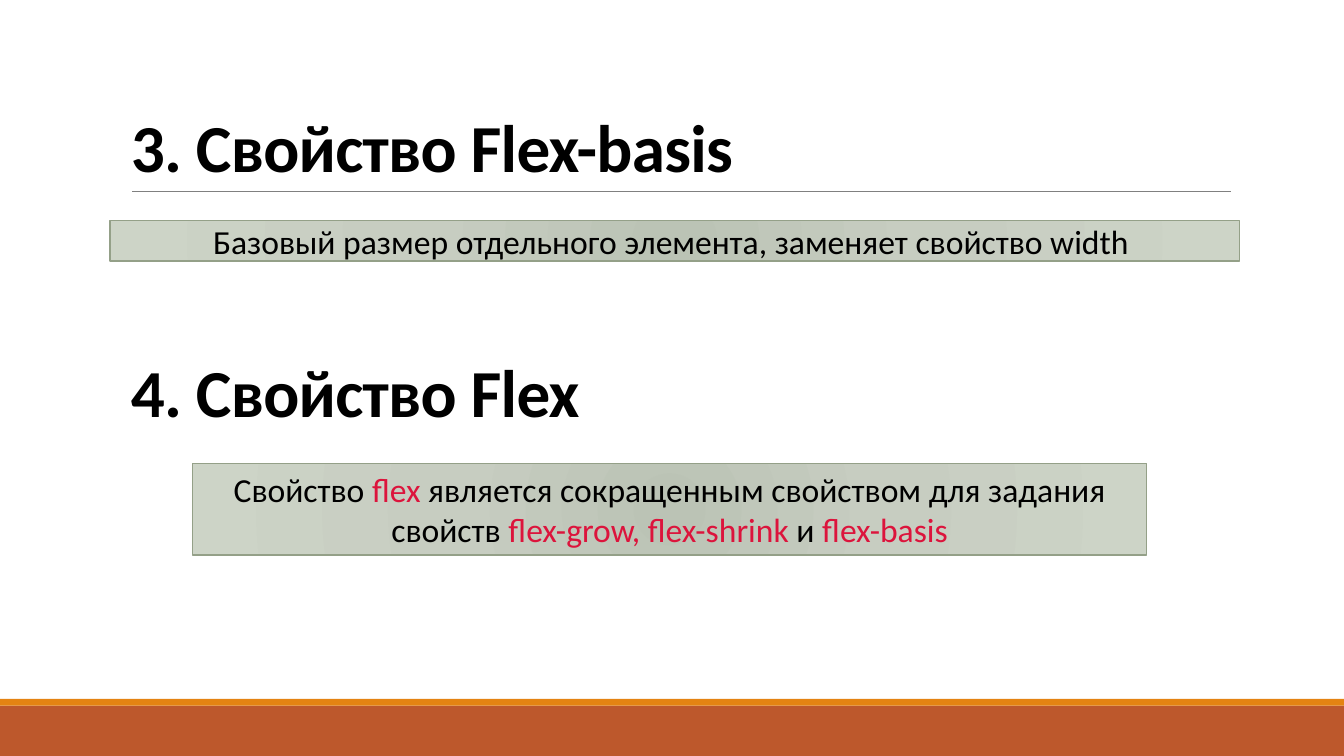
from lxml import etree
from pptx import Presentation
from pptx import util as u
from pptx.dml.color import RGBColor
from pptx.enum import shapes, text
from pptx.oxml import ns

BLACK, CRIMSON = "000000", "DC143C"
SLIDE_WIDTH, SLIDE_HEIGHT = 33.87, 19.05
FOOTER_HEIGHT, STRIPE_HEIGHT = 1.27, 0.17
HEADING_LEFT, HEADING_WIDTH, HEADING_HEIGHT = 3.05, 27.94, 4.04
RULE_LEFT, RULE_RIGHT = 3.33, 31.01
GRADIENT = [(0, "BBC3B5"), (45, "C7CDC1"), (100, "CDD4C7")]

SECTIONS = [
    {
        "heading": "3. Свойство Flex-basis",
        "top": 0.79,
        "box": (2.77, 5.56, 28.47, 1.02),
        "margins": (0.08, 0),
        "note": [("Базовый размер отдельного элемента, заменяет свойство width ", BLACK)],
    },
    {
        "heading": "4. Свойство Flex",
        "top": 6.96,
        "box": (4.85, 11.68, 24.05, 2.31),
        "margins": (0.25, 0.13),
        "note": [
            ("Свойство ", BLACK),
            ("flex ", CRIMSON),
            ("является сокращенным свойством для задания свойств ", BLACK),
            ("flex-grow, flex-shrink", CRIMSON),
            (" и ", BLACK),
            ("flex-basis", CRIMSON),
        ],
    },
]


def color(value):
    return RGBColor.from_string(value)


def lengths(values):
    return [u.Cm(value) for value in values]


def write(shape, runs, size, bold=False, align=text.PP_ALIGN.LEFT, anchor=text.MSO_ANCHOR.MIDDLE,
          margins=(0.25, 0.13), line_spacing=1.0, tracking=0):
    frame = shape.text_frame
    frame.word_wrap = True
    frame.vertical_anchor = anchor
    frame.margin_left = frame.margin_right = u.Cm(margins[0])
    frame.margin_top = frame.margin_bottom = u.Cm(margins[1])
    paragraph = frame.paragraphs[0]
    paragraph.alignment = align
    paragraph.line_spacing = line_spacing
    for words, hue in runs:
        run = paragraph.add_run()
        run.text = words
        run.font.name = "Calibri"
        run.font.size = u.Pt(size)
        run.font.bold = bold
        run.font.color.rgb = color(hue)
        if tracking:
            run.font._element.set("spc", str(round(tracking * 100)))


def add_rectangle(slide, box, fill=None):
    shape = slide.shapes.add_shape(shapes.MSO_SHAPE.RECTANGLE, *lengths(box))
    shape.shadow.inherit = False
    shape.line.fill.background()
    if fill:
        shape.fill.solid()
        shape.fill.fore_color.rgb = color(fill)
    return shape


def fill_radial(shape, stops):
    shape.fill.background()
    properties = shape._element.spPr
    gradient = etree.Element(ns.qn("a:gradFill"), rotWithShape="1")
    stop_list = etree.SubElement(gradient, ns.qn("a:gsLst"))
    for position, hue in stops:
        stop = etree.SubElement(stop_list, ns.qn("a:gs"), pos=str(position * 1000))
        etree.SubElement(stop, ns.qn("a:srgbClr"), val=hue)
    circle = etree.SubElement(gradient, ns.qn("a:path"), path="circle")
    etree.SubElement(circle, ns.qn("a:fillToRect"), {side: "100000" for side in "ltrb"})
    properties.replace(properties.find(ns.qn("a:noFill")), gradient)


def add_rule(slide, y):
    rule = slide.shapes.add_connector(
        shapes.MSO_CONNECTOR.STRAIGHT, *lengths((RULE_LEFT, y, RULE_RIGHT, y)))
    rule.line.color.rgb = color("808080")
    rule.line.width = u.Pt(0.5)
    etree.SubElement(rule._element.spPr, ns.qn("a:effectLst"))


def add_section(slide, section):
    heading = slide.shapes.add_textbox(
        *lengths((HEADING_LEFT, section["top"], HEADING_WIDTH, HEADING_HEIGHT)))
    write(heading, [(section["heading"], BLACK)], size=48, bold=True,
          anchor=text.MSO_ANCHOR.BOTTOM, line_spacing=0.85, tracking=-0.5)
    note = add_rectangle(slide, section["box"])
    fill_radial(note, GRADIENT)
    note.line.color.rgb = color("94A088")
    note.line.width = u.Pt(1)
    write(note, section["note"], size=24, align=text.PP_ALIGN.CENTER, margins=section["margins"])


def main():
    presentation = Presentation()
    presentation.slide_width, presentation.slide_height = lengths((SLIDE_WIDTH, SLIDE_HEIGHT))
    slide = presentation.slides.add_slide(presentation.slide_layouts[6])
    footer_top = SLIDE_HEIGHT - FOOTER_HEIGHT
    add_rectangle(slide, (0, footer_top, SLIDE_WIDTH, FOOTER_HEIGHT), "BD582C")
    add_rectangle(slide, (0, footer_top - STRIPE_HEIGHT, SLIDE_WIDTH, STRIPE_HEIGHT), "E48312")
    add_rule(slide, SECTIONS[0]["top"] + HEADING_HEIGHT)
    for section in SECTIONS:
        add_section(slide, section)
    presentation.save("out.pptx")


if __name__ == "__main__":
    main()
